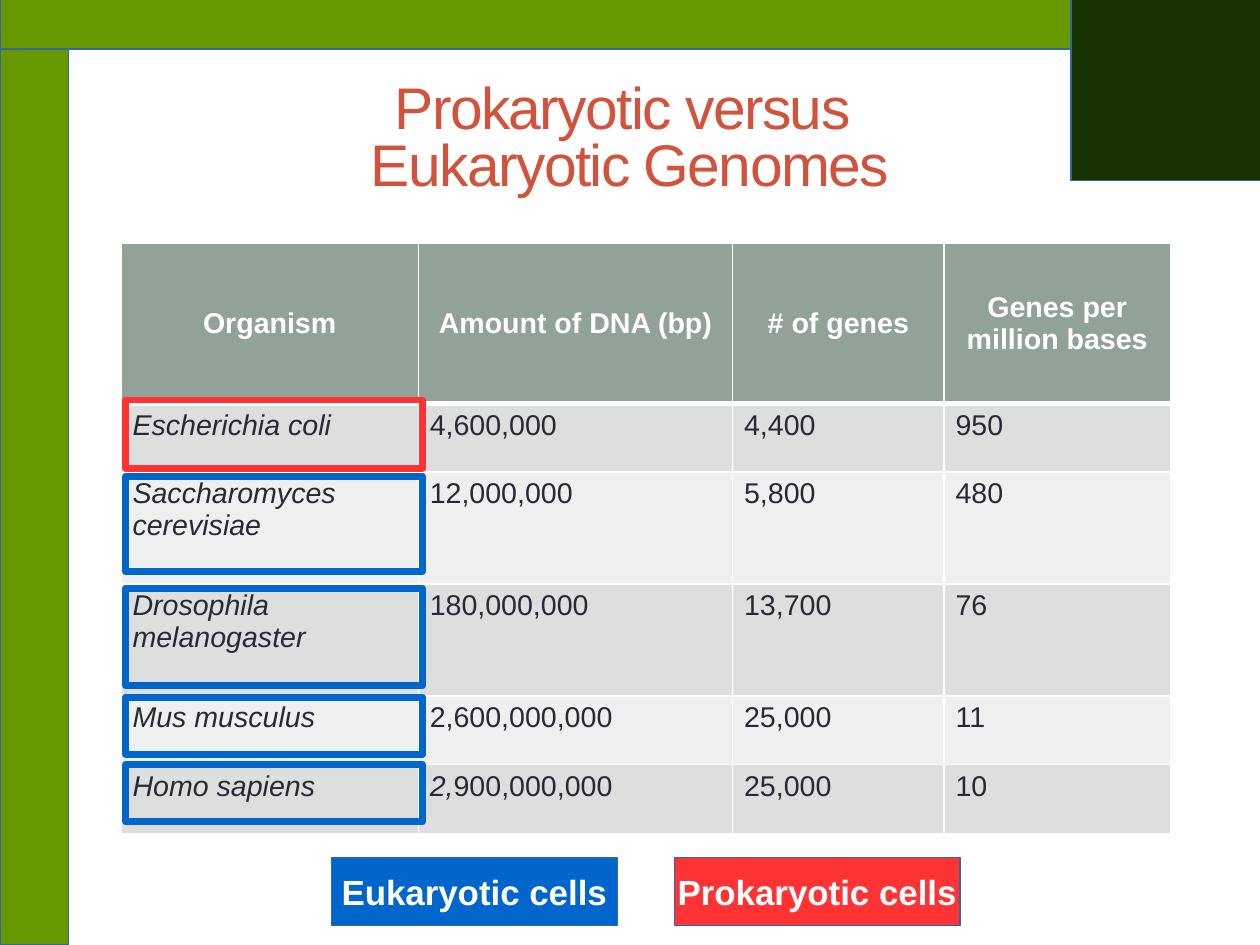
from dataclasses import dataclass

from lxml.etree import SubElement
from pptx import Presentation
from pptx.dml.color import RGBColor
from pptx.enum.shapes import MSO_SHAPE
from pptx.enum.text import MSO_ANCHOR, MSO_AUTO_SIZE, PP_ALIGN
from pptx.oxml.ns import qn
from pptx.util import Inches, Pt

COLORS = {
    "title": "D2533C",
    "text": "292934",
    "white": "FFFFFF",
    "header": "93A299",
    "odd_row": "DCDFDD",
    "even_row": "EEF0EF",
    "green": "669900",
    "dark_green": "193300",
    "outline": "3465A4",
    "prokaryotic": "FF3333",
    "eukaryotic": "0066CC",
}
FONT = "Arial"
# The slide measures 28 by 21 centimetres.
SLIDE_WIDTH, SLIDE_HEIGHT = 28 / 2.54, 21 / 2.54


@dataclass
class Box:
    left: float
    top: float
    width: float
    height: float
    line: str = "outline"
    line_width: float = 0
    fill: str | None = None
    label: str = ""


@dataclass
class Organism:
    name: str
    dna: str
    genes: str
    density: str
    row_height: float
    mark_top: float
    mark_height: float
    kind: str = "eukaryotic"
    dna_italic: str = ""


HEADINGS = ["Organism", "Amount of DNA (bp)", "# of genes", "Genes per million bases"]
COLUMN_WIDTHS = [2.6, 2.75, 1.85, 1.98]
HEADER_HEIGHT = 1.4
ORGANISMS = [
    Organism("Escherichia coli", "4,600,000", "4,400", "950", 0.6, 3.5, 0.6, "prokaryotic"),
    Organism("Saccharomyces cerevisiae", "12,000,000", "5,800", "480", 0.98, 4.17, 0.83),
    Organism("Drosophila melanogaster", "180,000,000", "13,700", "76", 0.98, 5.15, 0.85),
    Organism("Mus musculus", "2,600,000,000", "25,000", "11", 0.6, 6.1, 0.5),
    Organism("Homo sapiens", "900,000,000", "25,000", "10", 0.6, 6.69, 0.5, dna_italic="2,"),
]
FRAME = [
    Box(0, 0, 0.6, SLIDE_HEIGHT, fill="green"),
    Box(0, -0.07, SLIDE_WIDTH, 0.5, fill="green"),
    Box(9.37, -0.4, 1.93, 1.98, fill="dark_green"),
]
LEGEND = [
    Box(5.9, 7.5, 2.5, 0.6, fill="prokaryotic", label="Prokaryotic cells"),
    Box(2.9, 7.5, 2.5, 0.6, fill="eukaryotic", label="Eukaryotic cells"),
]


def rgb(name: str) -> RGBColor:
    return RGBColor.from_string(COLORS[name])


def format_font(font, size: float, color: str, bold: bool = False) -> None:
    font.name = FONT
    font.size = Pt(size)
    font.bold = bold
    font.color.rgb = rgb(color)


def draw_box(slide, box: Box) -> None:
    shape = slide.shapes.add_shape(
        MSO_SHAPE.RECTANGLE,
        Inches(box.left), Inches(box.top), Inches(box.width), Inches(box.height),
    )
    shape.shadow.inherit = False
    if box.fill:
        shape.fill.solid()
        shape.fill.fore_color.rgb = rgb(box.fill)
    else:
        shape.fill.background()
    shape.line.color.rgb = rgb(box.line)
    shape.line.width = Pt(box.line_width)
    SubElement(shape.line._get_or_add_ln(), qn("a:round"))
    if box.label:
        frame = shape.text_frame
        frame.word_wrap = False
        frame.vertical_anchor = MSO_ANCHOR.MIDDLE
        paragraph = frame.paragraphs[0]
        paragraph.text = box.label
        paragraph.alignment = PP_ALIGN.CENTER
        format_font(paragraph.font, 22, "white", bold=True)


def draw_title(slide) -> None:
    title = slide.shapes.title
    title.left, title.top = Inches(0.55), Inches(0.64)
    title.width, title.height = Inches(9.92), Inches(1.19)
    frame = title.text_frame
    frame.auto_size = MSO_AUTO_SIZE.NONE
    frame.vertical_anchor = MSO_ANCHOR.MIDDLE
    paragraph = frame.paragraphs[0]
    paragraph.text = "Prokaryotic versus \vEukaryotic Genomes"
    paragraph.alignment = PP_ALIGN.CENTER
    paragraph.line_spacing = 0.8
    format_font(paragraph.font, 37, "title")
    for run in paragraph.runs:
        run.font._element.set("spc", "-100")


def add_borders(cell, top: float, bottom: float) -> None:
    properties = cell._tc.get_or_add_tcPr()
    for side, width in (("L", 0.96), ("R", 0.96), ("T", top), ("B", bottom)):
        line = SubElement(properties, qn(f"a:ln{side}"), w=str(Pt(width)))
        fill = SubElement(line, qn("a:solidFill"))
        SubElement(fill, qn("a:srgbClr"), val=COLORS["white"])


def write_cell(cell, row: int, plain: str, italic: str = "") -> None:
    """Write the italic part, then the plain part, in the style of the row."""
    is_header = row == 0
    add_borders(cell, 3 if row == 1 else 0.96, 3 if is_header else 0.96)
    cell.fill.solid()
    row_fill = "odd_row" if row % 2 else "even_row"
    cell.fill.fore_color.rgb = rgb("header" if is_header else row_fill)
    cell.vertical_anchor = MSO_ANCHOR.MIDDLE if is_header else MSO_ANCHOR.TOP
    paragraph = cell.text_frame.paragraphs[0]
    paragraph.alignment = PP_ALIGN.CENTER if is_header else PP_ALIGN.LEFT
    for text, slanted in ((italic, True), (plain, False)):
        if text:
            run = paragraph.add_run()
            run.text = text
            format_font(run.font, 18, "white" if is_header else "text", bold=is_header)
            run.font.italic = slanted


def draw_table(slide) -> None:
    heights = [HEADER_HEIGHT] + [organism.row_height for organism in ORGANISMS]
    table = slide.shapes.add_table(
        len(heights), len(COLUMN_WIDTHS),
        Inches(1.06), Inches(2.13), Inches(sum(COLUMN_WIDTHS)), Inches(sum(heights)),
    ).table
    for column, width in zip(table.columns, COLUMN_WIDTHS):
        column.width = Inches(width)
    for table_row, height in zip(table.rows, heights):
        table_row.height = Inches(height)
    for column, heading in enumerate(HEADINGS):
        write_cell(table.cell(0, column), 0, heading)
    for row, organism in enumerate(ORGANISMS, start=1):
        write_cell(table.cell(row, 0), row, "", organism.name)
        write_cell(table.cell(row, 1), row, organism.dna, organism.dna_italic)
        write_cell(table.cell(row, 2), row, organism.genes)
        write_cell(table.cell(row, 3), row, organism.density)


def main() -> None:
    presentation = Presentation()
    presentation.slide_width = Inches(SLIDE_WIDTH)
    presentation.slide_height = Inches(SLIDE_HEIGHT)
    slide = presentation.slides.add_slide(presentation.slide_layouts[5])
    draw_title(slide)
    draw_table(slide)
    marks = [
        Box(1.1, organism.mark_top, 2.6, organism.mark_height, organism.kind, 4.31)
        for organism in ORGANISMS
    ]
    for box in FRAME + LEGEND + marks:
        draw_box(slide, box)
    presentation.save("out.pptx")


if __name__ == "__main__":
    main()
